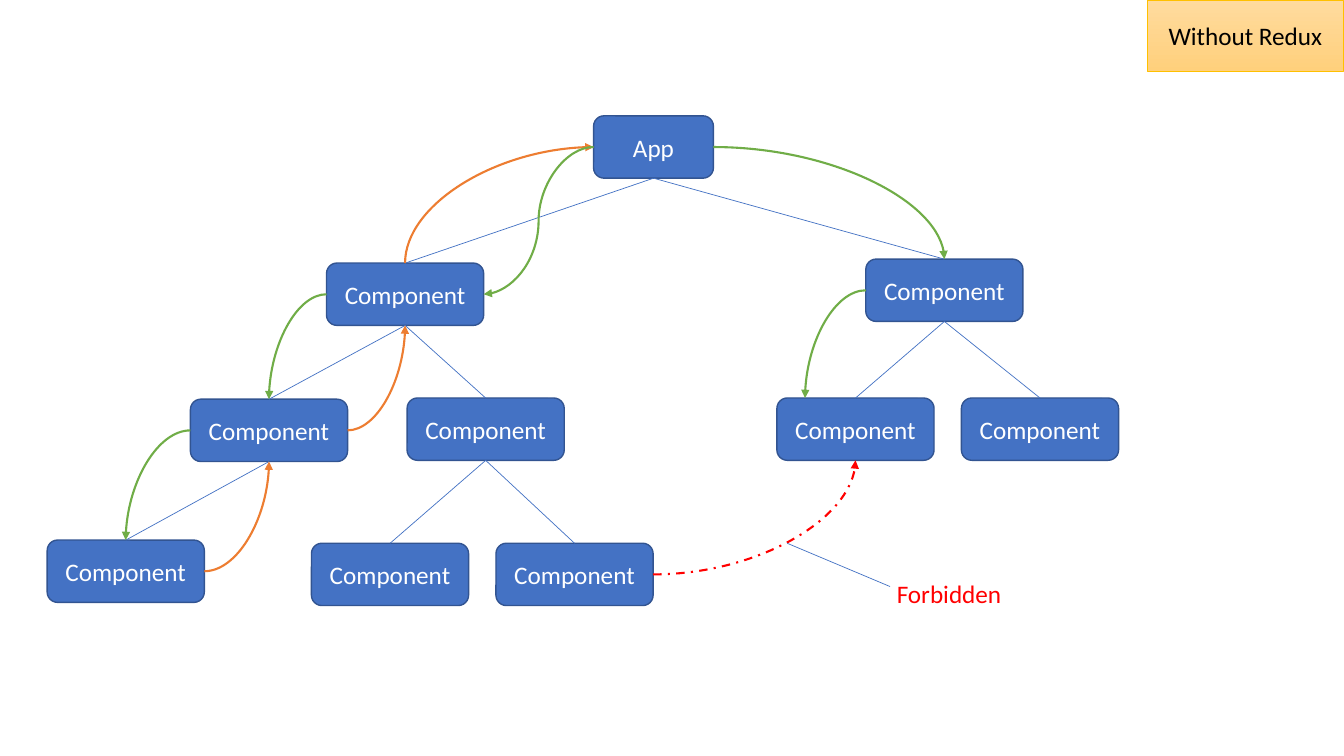
"""Draw a component tree whose data flows between components without a store."""
from dataclasses import dataclass
from enum import IntEnum
from typing import Optional

from lxml.etree import SubElement
from pptx import Presentation
from pptx.dml.color import RGBColor
from pptx.enum.dml import MSO_LINE
from pptx.enum.shapes import MSO_CONNECTOR, MSO_SHAPE
from pptx.enum.text import MSO_ANCHOR, MSO_AUTO_SIZE, PP_ALIGN
from pptx.oxml.ns import qn
from pptx.util import Cm, Pt


@dataclass(frozen=True)
class Theme:
    font: str = "Calibri"
    text_size: float = 18
    thin: float = 0.5
    outline: float = 1
    thick: float = 1.5
    blue: str = "4472C4"
    navy: str = "325491"
    green: str = "70AD47"
    orange: str = "ED7D31"
    red: str = "FF0000"
    white: str = "FFFFFF"
    black: str = "000000"
    gold: str = "FFC000"
    label_top: str = "FFDB9E"
    label_bottom: str = "FFD07C"


class Side(IntEnum):
    TOP = 0
    LEFT = 1
    BOTTOM = 2
    RIGHT = 3


@dataclass(frozen=True)
class Node:
    name: str
    left: float
    top: float
    parent: str = ""
    text: str = "Component"
    width: float = 3.96
    height: float = 1.57

    def site(self, side: Side) -> tuple[float, float]:
        across, down = {Side.TOP: (0.5, 0), Side.LEFT: (0, 0.5),
                        Side.BOTTOM: (0.5, 1), Side.RIGHT: (1, 0.5)}[side]
        return self.left + across * self.width, self.top + down * self.height


@dataclass(frozen=True)
class Flow:
    start: str
    start_side: Side
    end: str
    end_side: Side
    color: str
    preset: str = "curvedConnector2"
    arrow: str = "tailEnd"
    dash: Optional[MSO_LINE] = None
    end_shift: float = 0


THEME = Theme()
NODES = [
    Node("app", 14.96, 2.92, text="App", width=3.02),
    Node("right", 21.82, 6.53, "app"),
    Node("left", 8.23, 6.63, "app"),
    Node("right outer", 24.23, 10.03, "right"),
    Node("right inner", 19.58, 10.03, "right"),
    Node("left inner", 10.26, 10.03, "left"),
    Node("left outer", 4.8, 10.06, "left"),
    Node("inner second leaf", 12.5, 13.69, "left inner"),
    Node("inner first leaf", 7.85, 13.69, "left inner"),
    Node("outer leaf", 1.19, 13.61, "left outer"),
]
FLOWS = [
    Flow("app", Side.LEFT, "left", Side.TOP, THEME.orange, arrow="headEnd"),
    Flow("app", Side.LEFT, "left", Side.RIGHT, THEME.green, "curvedConnector3"),
    Flow("left", Side.LEFT, "left outer", Side.TOP, THEME.green),
    Flow("left outer", Side.LEFT, "outer leaf", Side.TOP, THEME.green),
    Flow("inner second leaf", Side.RIGHT, "right inner", Side.BOTTOM, THEME.red,
         dash=MSO_LINE.DASH_DOT),
    Flow("outer leaf", Side.RIGHT, "left outer", Side.BOTTOM, THEME.orange),
    Flow("left outer", Side.RIGHT, "left", Side.BOTTOM, THEME.orange),
    Flow("app", Side.RIGHT, "right", Side.TOP, THEME.green),
    Flow("right", Side.LEFT, "right inner", Side.TOP, THEME.green, end_shift=-1.27),
]


def color(value: str) -> RGBColor:
    return RGBColor.from_string(value)


def write(shape, text: str, ink: str, align: PP_ALIGN = PP_ALIGN.CENTER) -> None:
    frame = shape.text_frame
    frame.vertical_anchor = MSO_ANCHOR.MIDDLE
    para = frame.paragraphs[0]
    para.alignment = align
    para.line_spacing = 1.0
    span = para.add_run()
    span.text = text
    span.font.name = THEME.font
    span.font.size = Pt(THEME.text_size)
    span.font.color.rgb = color(ink)


def draw_title(page) -> None:
    title = page.shapes.title
    title.left, title.top, title.width, title.height = Cm(28.91), Cm(0), Cm(4.95), Cm(1.8)
    title.fill.gradient()
    title.fill.gradient_angle = 270
    for stop, shade in zip(title.fill.gradient_stops, (THEME.label_top, THEME.label_bottom)):
        stop.color.rgb = color(shade)
    title.line.color.rgb = color(THEME.gold)
    title.line.width = Pt(THEME.thin)
    title.text_frame.auto_size = MSO_AUTO_SIZE.NONE
    write(title, "Without Redux", THEME.black)


def draw_node(page, node: Node):
    box = page.shapes.add_shape(MSO_SHAPE.ROUNDED_RECTANGLE, Cm(node.left), Cm(node.top),
                                Cm(node.width), Cm(node.height))
    box.shadow.inherit = False
    box.fill.solid()
    box.fill.fore_color.rgb = color(THEME.blue)
    box.line.color.rgb = color(THEME.navy)
    box.line.width = Pt(THEME.outline)
    write(box, node.text, THEME.white)
    return box


def draw_line(page, start: tuple[float, float], end: tuple[float, float],
              ink: str = THEME.blue, width: float = THEME.thin,
              kind: MSO_CONNECTOR = MSO_CONNECTOR.STRAIGHT):
    line = page.shapes.add_connector(kind, *(Cm(value) for value in (*start, *end)))
    line.line.color.rgb = color(ink)
    line.line.width = Pt(width)
    SubElement(line._element.spPr, qn("a:effectLst"))
    return line


def draw_branch(page, parent: Node, child: Node, boxes: dict) -> None:
    branch = draw_line(page, parent.site(Side.BOTTOM), child.site(Side.TOP))
    branch.begin_connect(boxes[parent.name], Side.BOTTOM)
    branch.end_connect(boxes[child.name], Side.TOP)


def draw_flow(page, flow: Flow, nodes: dict[str, Node], boxes: dict) -> None:
    end_x, end_y = nodes[flow.end].site(flow.end_side)
    curve = draw_line(page, nodes[flow.start].site(flow.start_side),
                      (end_x + flow.end_shift, end_y),
                      flow.color, THEME.thick, MSO_CONNECTOR.CURVE)
    curve.begin_connect(boxes[flow.start], flow.start_side)
    if not flow.end_shift:
        curve.end_connect(boxes[flow.end], flow.end_side)
    if flow.dash:
        curve.line.dash_style = flow.dash
    properties = curve._element.spPr
    properties.find(qn("a:prstGeom")).set("prst", flow.preset)
    SubElement(properties.find(qn("a:ln")), qn(f"a:{flow.arrow}"), type="triangle")


def draw_warning(page) -> None:
    draw_line(page, (19.84, 13.69), (22.43, 14.78))
    label = page.shapes.add_textbox(Cm(22.35), Cm(14.45), Cm(3.18), Cm(1.02))
    label.text_frame.word_wrap = False
    write(label, "Forbidden", THEME.red, PP_ALIGN.LEFT)


def main() -> None:
    deck = Presentation()
    deck.slide_width, deck.slide_height = Cm(33.87), Cm(19.05)
    page = deck.slides.add_slide(deck.slide_layouts.get_by_name("Title Only"))
    draw_title(page)
    nodes = {node.name: node for node in NODES}
    boxes = {node.name: draw_node(page, node) for node in NODES}
    for node in NODES:
        if node.parent:
            draw_branch(page, nodes[node.parent], node, boxes)
    for flow in FLOWS:
        draw_flow(page, flow, nodes, boxes)
    draw_warning(page)
    deck.save("out.pptx")


if __name__ == "__main__":
    main()
